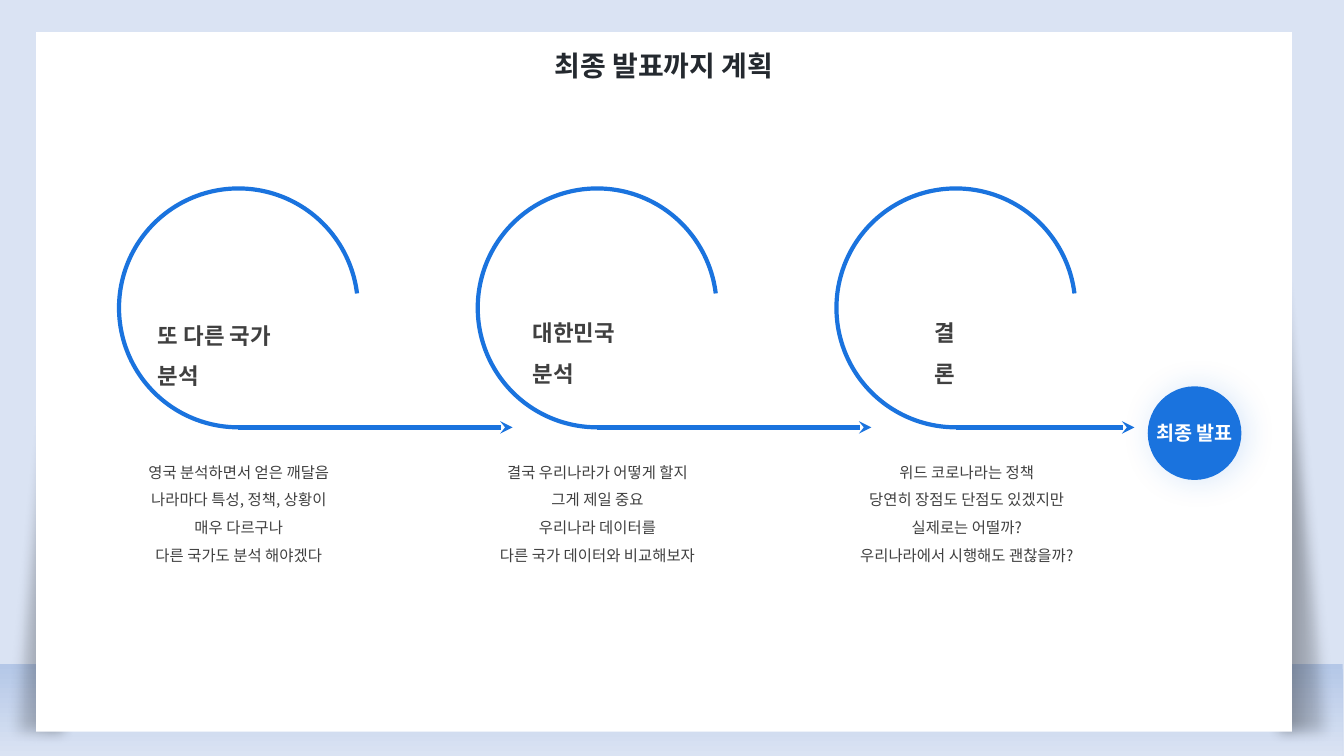
import dataclasses

import lxml.etree
import pptx
import pptx.dml.color
import pptx.enum.shapes
import pptx.enum.text
import pptx.oxml.ns
import pptx.util

Cm = pptx.util.Cm
Pt = pptx.util.Pt
qn = pptx.oxml.ns.qn
Shapes = pptx.enum.shapes.MSO_SHAPE
Align = pptx.enum.text.PP_ALIGN
Anchor = pptx.enum.text.MSO_ANCHOR


@dataclasses.dataclass(frozen=True)
class Theme:
    """Colours, font and type sizes of the slide."""
    font: str = "Noto Sans CJK KR"
    sky: str = "DAE3F3"
    floor: str = "B4C7E7"
    card: str = "FFFFFF"
    shade: str = "000000"
    blue: str = "1A73DE"
    title: str = "24292F"
    text: str = "404040"
    title_size: int = 20
    heading_size: int = 16
    goal_size: int = 14
    body_size: int = 11
    line: float = 3
    goal_line: float = 4.25


THEME = Theme()
STEP_PITCH = 9.04
RING_LEFT, RING_TOP, RING_SIZE = 3.0, 4.75, 6.02
STEPS = [
    ("또 다른 국가 분석", 3.73, 7.65, 3.8, 6.2, 6.91,
     ["영국 분석하면서 얻은 깨달음", "나라마다 특성, 정책, 상황이",
      "매우 다르구나", "다른 국가도 분석 해야겠다"]),
    ("대한민국 분석", 13.18, 7.59, 3.05, 6.2, 6.91,
     ["결국 우리나라가 어떻게 할지", "그게 제일 중요",
      "우리나라 데이터를", "다른 국가 데이터와 비교해보자"]),
    ("결론", 23.29, 7.59, 1.4, 6.73, 4.5,
     ["위드 코로나라는 정책", "당연히 장점도 단점도 있겠지만",
      "실제로는 어떨까?", "우리나라에서 시행해도 괜찮을까?"]),
]


def rgb(value):
    """Return a colour object for a hex value."""
    return pptx.dml.color.RGBColor.from_string(value)


def add_xml(parent, tag, **attributes):
    """Append a DrawingML element and return it."""
    names = {name: str(value) for name, value in attributes.items()}
    return lxml.etree.SubElement(parent, qn(tag), names)


def write(text_frame, lines, size, color, bold=False, align=Align.CENTER, spacing=None):
    """Fill a text frame with evenly styled paragraphs."""
    text_frame.text = "\n".join(lines)
    for paragraph in text_frame.paragraphs:
        paragraph.alignment = align
        paragraph.line_spacing = spacing
        for run in paragraph.runs:
            run.font.size = Pt(size)
            run.font.bold = bold
            run.font.color.rgb = rgb(color)
            run.font.name = THEME.font
            add_xml(run.font._element, "a:ea", typeface=THEME.font)


def add_plain(slide, kind, left, top, width, height, fill=None, line=None, weight=0):
    """Add a preset shape without shadow, with optional fill and line."""
    shape = slide.shapes.add_shape(kind, Cm(left), Cm(top), Cm(width), Cm(height))
    shape.shadow.inherit = False
    if fill:
        shape.fill.solid()
        shape.fill.fore_color.rgb = rgb(fill)
    else:
        shape.fill.background()
    if line:
        shape.line.color.rgb = rgb(line)
        shape.line.width = Pt(weight)
    else:
        shape.line.fill.background()
    return shape


def set_gradient(shape, stops, angle):
    """Replace the empty fill by a linear gradient of colour and opacity."""
    properties = shape._element.spPr
    gradient = lxml.etree.Element(qn("a:gradFill"), rotWithShape="1")
    stop_list = add_xml(gradient, "a:gsLst")
    for position, color, opacity in stops:
        stop = add_xml(stop_list, "a:gs", pos=position * 1000)
        value = add_xml(stop, "a:srgbClr", val=color)
        if opacity < 100:
            add_xml(value, "a:alpha", val=opacity * 1000)
    add_xml(gradient, "a:lin", ang=angle * 60000, scaled=0)
    properties.replace(properties.find(qn("a:noFill")), gradient)


def add_side_shade(slide, left, flipped):
    """Add a soft dark wedge beside the card."""
    wedge = add_plain(slide, Shapes.RIGHT_TRIANGLE, left, 0, 1.91, 18.75)
    if flipped:
        wedge._element.spPr.xfrm.set("flipH", "1")
    set_gradient(wedge, [(0, THEME.shade, 0), (100, THEME.shade, 48)], 180)
    effects = wedge._element.spPr.find(qn("a:effectLst"))
    add_xml(effects, "a:softEdge", rad=Pt(10))


def add_backdrop(slide):
    """Add the floor, the side shades and the titled card."""
    floor = add_plain(slide, Shapes.RECTANGLE, -0.03, 16.74, 33.87, 2.31)
    set_gradient(floor, [(0, THEME.floor, 100), (100, THEME.sky, 100)], 90)
    add_side_shade(slide, -0.03, True)
    add_side_shade(slide, 31.95, False)
    card = add_plain(slide, Shapes.RECTANGLE, 0.91, 0.81, 31.65, 17.63, THEME.card)
    card.text_frame.margin_top = Cm(0.41)
    card.text_frame.vertical_anchor = Anchor.TOP
    write(card.text_frame, ["최종 발표까지 계획"], THEME.title_size, THEME.title, True)


def add_text(slide, left, top, width, height, lines, size, **style):
    """Add a wrapping text box in the text colour."""
    box = slide.shapes.add_textbox(Cm(left), Cm(top), Cm(width), Cm(height))
    box.text_frame.word_wrap = True
    write(box.text_frame, lines, size, THEME.text, spacing=1.5, **style)


def add_arrow(slide, start, end, height):
    """Add a horizontal blue arrow."""
    arrow = slide.shapes.add_connector(
        pptx.enum.shapes.MSO_CONNECTOR.STRAIGHT, Cm(start), Cm(height), Cm(end), Cm(height))
    arrow.line.color.rgb = rgb(THEME.blue)
    arrow.line.width = Pt(THEME.line)
    add_xml(arrow.line._get_or_add_ln(), "a:tailEnd", type="stealth")
    add_xml(arrow._element.spPr, "a:effectLst")


def add_step(slide, index, step):
    """Add one ring with its arrow, heading and description."""
    heading, heading_left, heading_top, heading_width, body_width, arrow_length, lines = step
    left = RING_LEFT + index * STEP_PITCH
    ring = add_plain(slide, Shapes.ARC, left, RING_TOP, RING_SIZE, RING_SIZE,
                     line=THEME.blue, weight=THEME.line)
    ring.adjustments[0] = 53.94
    ring.adjustments[1] = 211.83
    center = left + RING_SIZE / 2
    add_arrow(slide, center, center + arrow_length, RING_TOP + RING_SIZE)
    add_text(slide, heading_left, heading_top, heading_width, 1.12, [heading],
             THEME.heading_size, bold=True, align=Align.LEFT)
    add_text(slide, left - 0.08, 11.3, body_width, 3, lines, THEME.body_size)


def add_goal(slide):
    """Add the glowing circle that ends the plan."""
    goal = add_plain(slide, Shapes.OVAL, 29, 9.81, 2.21, 2.21,
                     THEME.blue, THEME.blue, THEME.goal_line)
    effects = goal._element.spPr.find(qn("a:effectLst"))
    glow = add_xml(effects, "a:outerShdw", blurRad=Pt(23), dist=Pt(3), dir=0)
    add_xml(add_xml(glow, "a:srgbClr", val=THEME.blue), "a:alpha", val=17000)
    goal.text_frame.word_wrap = False
    goal.text_frame.vertical_anchor = Anchor.MIDDLE
    write(goal.text_frame, ["최종 발표"], THEME.goal_size, THEME.card, True)


def main():
    """Build and save the plan slide."""
    presentation = pptx.Presentation()
    presentation.slide_width = Cm(33.87)
    presentation.slide_height = Cm(19.05)
    slide = presentation.slides.add_slide(presentation.slide_layouts[6])
    slide.background.fill.solid()
    slide.background.fill.fore_color.rgb = rgb(THEME.sky)
    add_backdrop(slide)
    for index, step in enumerate(STEPS):
        add_step(slide, index, step)
    add_goal(slide)
    presentation.save("out.pptx")


if __name__ == "__main__":
    main()
